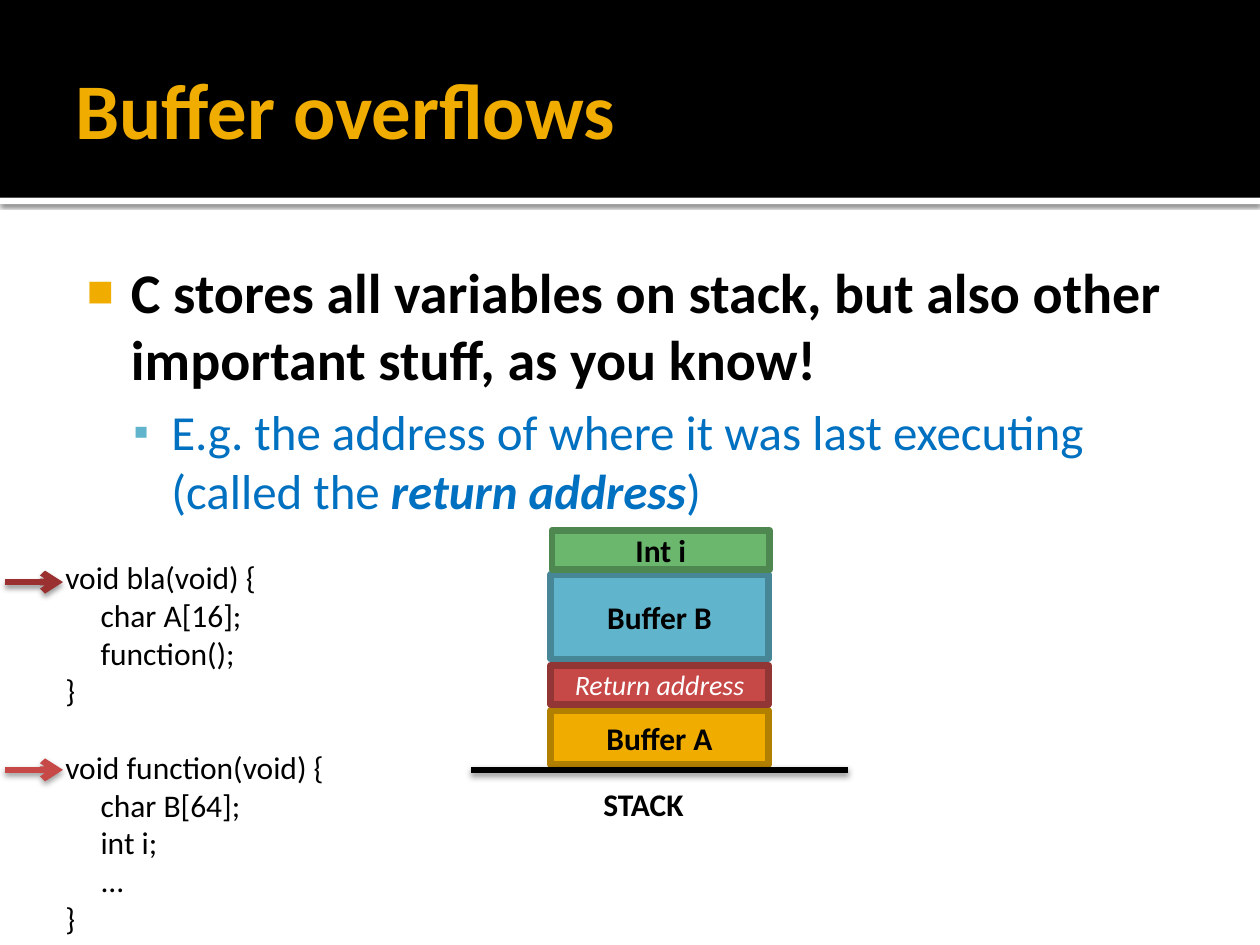
"""Build the 'Buffer overflows' slide with code and a stack diagram."""
from lxml.etree import SubElement
from pptx import Presentation
from pptx.dml.color import RGBColor
from pptx.enum.shapes import MSO_CONNECTOR, MSO_SHAPE
from pptx.enum.text import MSO_ANCHOR, PP_ALIGN
from pptx.oxml.ns import qn
from pptx.util import Inches, Pt

BLACK = RGBColor(0x00, 0x00, 0x00)
WHITE = RGBColor(0xFF, 0xFF, 0xFF)
GOLD = RGBColor(0xF0, 0xAD, 0x00)
DARK_GOLD = RGBColor(0xB2, 0x80, 0x00)
SKY = RGBColor(0x60, 0xB5, 0xCC)
DARK_SKY = RGBColor(0x47, 0x86, 0x97)
GREEN = RGBColor(0x6B, 0xB7, 0x6D)
DARK_GREEN = RGBColor(0x4F, 0x87, 0x51)
RED = RGBColor(0xC6, 0x48, 0x47)
DARK_RED = RGBColor(0x92, 0x35, 0x35)
ARROW_RED = RGBColor(0x9A, 0x31, 0x30)
BLUE = RGBColor(0x00, 0x70, 0xC0)


def style(p, size, color, bold=False, italic=False):
    for r in p.runs:
        r.font.name = "Calibri"
        r.font.size = Pt(size)
        r.font.color.rgb = color
        r.font.bold = bold
        r.font.italic = italic


def add_shadow(sp, alpha, blur, dist):
    effects = SubElement(sp._element.spPr, qn("a:effectLst"))
    outer = SubElement(effects, qn("a:outerShdw"), blurRad=str(Pt(blur)),
                       dist=str(Pt(dist)), dir="5400000", rotWithShape="0")
    clr = SubElement(outer, qn("a:srgbClr"), val=str(BLACK))
    SubElement(clr, qn("a:alpha"), val=str(alpha * 1000))


prs = Presentation()
prs.slide_width = Inches(10)
prs.slide_height = Inches(7.5)
s = prs.slides.add_slide(prs.slide_layouts[6])

for top, height, color in [(1.57, 0.05, WHITE), (0, 1.57, BLACK)]:
    sp = s.shapes.add_shape(MSO_SHAPE.RECTANGLE, 0, Inches(top), Inches(10), Inches(height))
    sp.fill.solid()
    sp.fill.fore_color.rgb = color
    sp.line.fill.background()
    if color == WHITE:
        add_shadow(sp, 60, 2.5, 0.8)
    else:
        sp.shadow.inherit = False

tf = s.shapes.add_textbox(Inches(0.5), Inches(0.17), Inches(9), Inches(1.37)).text_frame
tf.word_wrap = True
tf.vertical_anchor = MSO_ANCHOR.MIDDLE
tf.margin_right = Inches(0.05)
tf.text = "Buffer overflows"
style(tf.paragraphs[0], 45, GOLD, bold=True)

tf = s.shapes.add_textbox(Inches(0.5), Inches(1.94), Inches(9), Inches(5.35)).text_frame
tf.word_wrap = True
tf.margin_left = Inches(0.06)
tf.margin_top = Inches(0.1)
tf.text = "C stores all variables on stack, but also other important stuff, as you know!"
style(tf.paragraphs[0], 32, BLACK, bold=True)
p = tf.add_paragraph()
p.level = 1
p.space_before = Pt(5.6)
for text in ["E.g. the address of where it was last executing (called the ", "return address", ")"]:
    p.add_run().text = text
style(p, 28, BLUE)
p.runs[1].font.bold = True
p.runs[1].font.italic = True

bullets = [("■", GOLD, 80, 0.48, -0.35), ("▪", SKY, 90, 0.8, -0.3)]
for p, (char, color, percent, margin, indent) in zip(tf.paragraphs, bullets):
    pPr = p._p.get_or_add_pPr()
    pPr.set("marL", str(Inches(margin)))
    pPr.set("indent", str(Inches(indent)))
    SubElement(SubElement(pPr, qn("a:buClr")), qn("a:srgbClr"), val=str(color))
    SubElement(pPr, qn("a:buSzPct"), val=str(percent * 1000))
    SubElement(pPr, qn("a:buFont"), typeface="Arial")
    SubElement(pPr, qn("a:buChar"), char=char)

code = [
    ("void bla(void) {", 0), ("char A[16];", 1), ("function();", 1), ("}", 0),
    ("void function(void) {", 0), ("char B[64];", 1), ("int i;", 1), ("...", 1), ("}", 0),
]
tf = s.shapes.add_textbox(Inches(0.42), Inches(4.38), Inches(10), Inches(3.74)).text_frame
tf.word_wrap = True
for i, (text, depth) in enumerate(code):
    p = tf.add_paragraph() if i else tf.paragraphs[0]
    p.text = text
    p._p.get_or_add_pPr().set("marL", str(Inches(0.28 * depth)))
    if text.startswith("void function"):
        p.space_before = Pt(22)
    style(p, 18, BLACK)

stack = [
    ("Buffer A", 4.37, 5.64, 0.43, GOLD, DARK_GOLD),
    ("Buffer B", 4.37, 4.56, 0.67, SKY, DARK_SKY),
    ("Int i", 4.38, 4.21, 0.31, GREEN, DARK_GREEN),
    ("Return address", 4.37, 5.28, 0.31, RED, DARK_RED),
]
for text, left, top, height, fill, line in stack:
    sp = s.shapes.add_shape(MSO_SHAPE.RECTANGLE, Inches(left), Inches(top),
                            Inches(1.73), Inches(height))
    sp.shadow.inherit = False
    sp.fill.solid()
    sp.fill.fore_color.rgb = fill
    sp.line.color.rgb = line
    sp.line.width = Pt(3.78)
    tf = sp.text_frame
    tf.vertical_anchor = MSO_ANCHOR.MIDDLE
    tf.text = text
    p = tf.paragraphs[0]
    p.alignment = PP_ALIGN.CENTER
    if text == "Return address":
        style(p, 16, WHITE, italic=True)
    else:
        style(p, 18, BLACK, bold=True)

lines = [
    (0.04, 0.5, 4.62, ARROW_RED, True, 3.1),
    (0.04, 0.5, 6.11, RED, True, 3.5),
    (3.74, 6.73, 6.11, BLACK, False, 3.5),
]
for x1, x2, y, color, arrow, blur in lines:
    sp = s.shapes.add_connector(MSO_CONNECTOR.STRAIGHT, Inches(x1), Inches(y),
                                Inches(x2), Inches(y))
    sp.line.color.rgb = color
    sp.line.width = Pt(3.78)
    if arrow:
        SubElement(sp.line._get_or_add_ln(), qn("a:tailEnd"), type="arrow")
    add_shadow(sp, 38, blur, 2)

tf = s.shapes.add_textbox(Inches(4.69), Inches(6.18), Inches(0.94), Inches(0.4)).text_frame
tf.word_wrap = True
tf.text = "STACK"
style(tf.paragraphs[0], 18, BLACK, bold=True)

prs.save("out.pptx")
